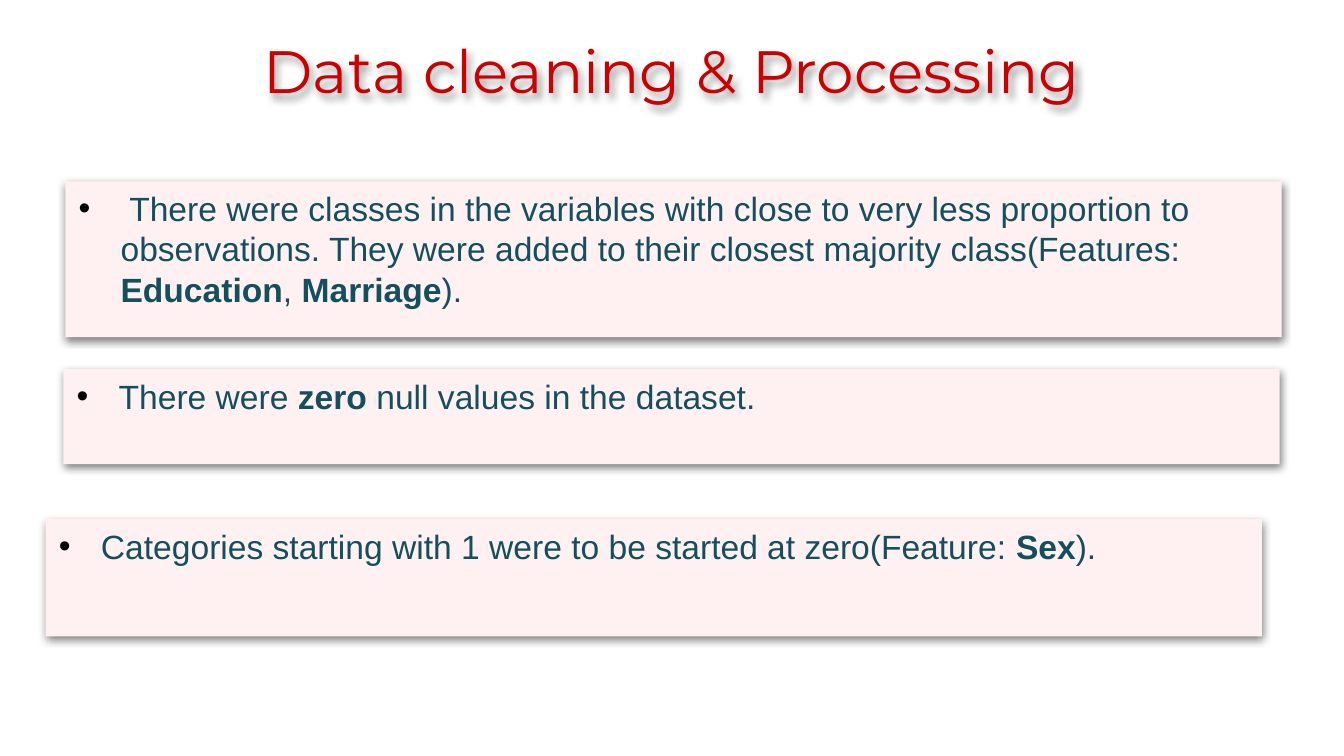
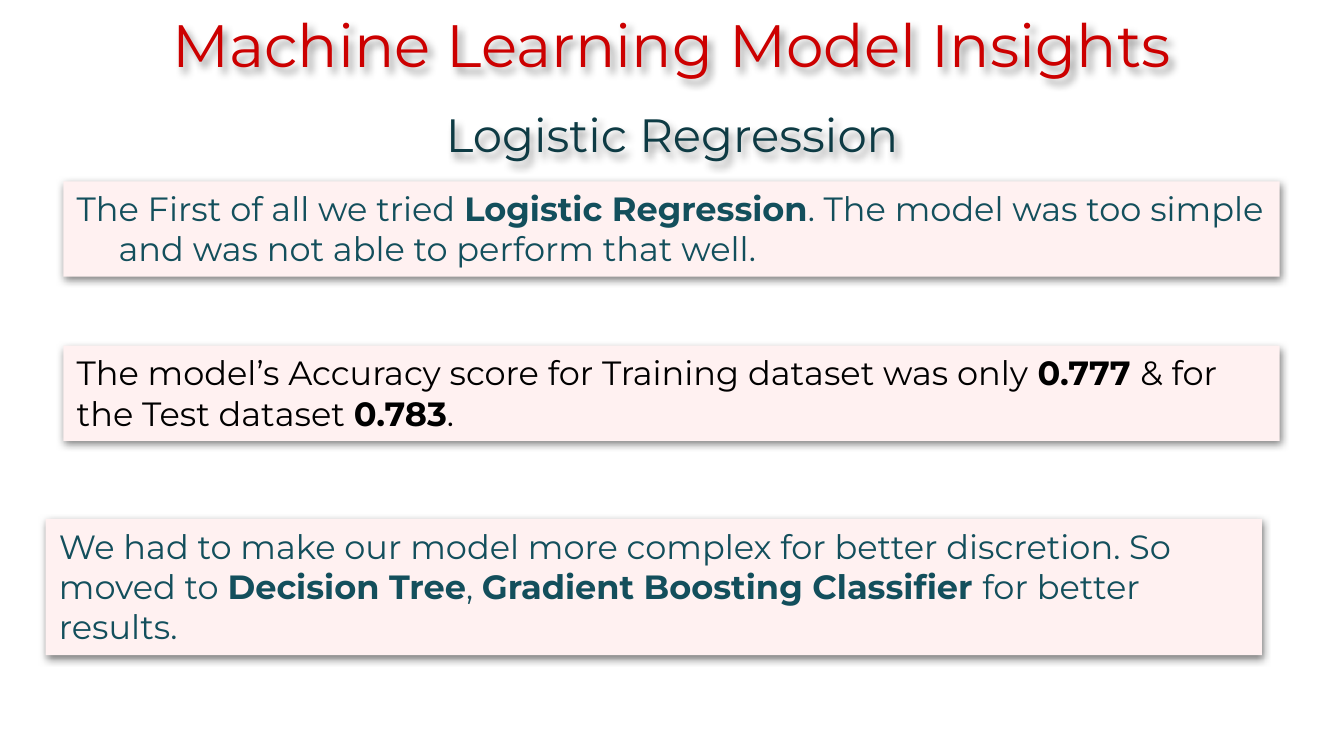
from lxml import etree
from pptx import Presentation
from pptx.dml.color import RGBColor
from pptx.enum.shapes import MSO_SHAPE
from pptx.enum.text import MSO_ANCHOR, PP_ALIGN
from pptx.oxml.ns import qn
from pptx.util import Pt

RECTANGLE = MSO_SHAPE.RECTANGLE
TOP = MSO_ANCHOR.TOP
LEFT = PP_ALIGN.LEFT
CENTER = PP_ALIGN.CENTER

RED = RGBColor(0xCC, 0x00, 0x00)
TEAL = RGBColor(0x13, 0x4F, 0x5C)
DARK_TEAL = RGBColor(0x0E, 0x3B, 0x44)
PINK = RGBColor(0xFF, 0xF1, 0xF1)
BLACK = RGBColor(0x00, 0x00, 0x00)

HEADING_FONT = "Montserrat"
BODY_FONT = "Arial"
OUTER_LEFT = 24.5
INNER_LEFT = 34
HEADING_SIZE = (671, 45.4)
CARD_WIDTH = 651.6
INDENT = 22.5

CARD_SHADOW = {"blur": 4.5, "distance": 1.5, "angle": 90, "opacity": 50}
HEADING_SHADOW = {"blur": 4, "distance": 3, "angle": 60, "opacity": 40}


def set_values(target, values):
    for name, value in values.items():
        setattr(target, name, value)


def add_shadow(shape, blur, distance, angle, opacity):
    properties = shape._element.spPr
    for old_effects in properties.findall(qn("a:effectLst")):
        properties.remove(old_effects)
    effects = etree.SubElement(properties, qn("a:effectLst"))
    shadow = etree.SubElement(
        effects, qn("a:outerShdw"), blurRad=str(Pt(blur)),
        dist=str(Pt(distance)), dir=str(angle * 60000),
        algn="bl", rotWithShape="0")
    color = etree.SubElement(shadow, qn("a:srgbClr"), val=str(BLACK))
    etree.SubElement(color, qn("a:alpha"), val=str(opacity * 1000))


def set_frame(shape, vertical_margin):
    set_values(shape.text_frame, {
        "word_wrap": True, "vertical_anchor": TOP,
        "margin_left": Pt(7.2), "margin_right": Pt(7.2),
        "margin_top": Pt(vertical_margin),
        "margin_bottom": Pt(vertical_margin)})


def add_run(paragraph, text, font_name, size, color, bold=False):
    run = paragraph.add_run()
    run.text = text
    set_values(run.font, {"name": font_name, "size": Pt(size), "bold": bold})
    run.font.color.rgb = color


def set_hanging_indent(paragraph, bullet):
    properties = paragraph._p.get_or_add_pPr()
    properties.set("marL", str(Pt(INDENT)))
    properties.set("indent", str(-Pt(INDENT)))
    if bullet:
        bullet_color = etree.SubElement(properties, qn("a:buClr"))
        etree.SubElement(bullet_color, qn("a:srgbClr"), val=str(BLACK))
        etree.SubElement(properties, qn("a:buFont"), typeface=BODY_FONT)
        etree.SubElement(properties, qn("a:buChar"), char="•")


def add_heading(slide, text, top, size=32, color=RED):
    width, height = HEADING_SIZE
    box = slide.shapes.add_textbox(
        Pt(OUTER_LEFT), Pt(top), Pt(width), Pt(height))
    set_frame(box, 7.2)
    add_shadow(box, **HEADING_SHADOW)
    paragraph = box.text_frame.paragraphs[0]
    paragraph.alignment = CENTER
    add_run(paragraph, text, HEADING_FONT, size, color)


def add_card(slide, left, top, height, parts, font_name=HEADING_FONT,
             color=TEAL, hanging=False, bullet=False):
    card = slide.shapes.add_shape(
        RECTANGLE, Pt(left), Pt(top), Pt(CARD_WIDTH), Pt(height))
    card.fill.solid()
    card.fill.fore_color.rgb = PINK
    card.line.fill.background()
    add_shadow(card, **CARD_SHADOW)
    set_frame(card, 3.6)
    paragraph = card.text_frame.paragraphs[0]
    paragraph.alignment = LEFT
    if hanging or bullet:
        set_hanging_indent(paragraph, bullet)
    for index, text in enumerate(parts):
        add_run(paragraph, text, font_name, 18, color, bold=index % 2 == 1)


def build_cleaning_slide(slide):
    add_heading(slide, "Data cleaning & Processing", 10.8)
    cards = [
        (35, 97.2, 83.5, [
            " There were classes in the variables with close to very less "
            "proportion to observations. They were added to their closest "
            "majority class(Features: ",
            "Education", ", ", "Marriage", ")."]),
        (INNER_LEFT, 197.7, 51, [
            "There were ", "zero", " null values in the dataset."]),
        (OUTER_LEFT, 278, 63, [
            "Categories starting with 1 were to be started at zero(Feature: ",
            "Sex", ")."]),
    ]
    for left, top, height, parts in cards:
        add_card(slide, left, top, height, parts, BODY_FONT, bullet=True)


def build_model_slide(slide):
    add_heading(slide, "Machine Learning Model Insights", -2.9)
    add_card(slide, INNER_LEFT, 97.2, 51, [
        "The First of all we tried ", "Logistic Regression",
        ". The model was too simple and was not able to perform that well."],
        hanging=True)
    add_card(slide, INNER_LEFT, 185.2, 51, [
        "The model’s Accuracy score for Training dataset was only ",
        "0.777 ", "& for the Test dataset ", "0.783", "."], color=BLACK)
    add_card(slide, OUTER_LEFT, 278, 73, [
        "We had to make our model more complex for better discretion. "
        "So moved to ", "Decision Tree", ", ",
        "Gradient Boosting Classifier ", "for better results."])
    add_heading(slide, "Logistic Regression", 49.7, 25, DARK_TEAL)


def main():
    presentation = Presentation()
    set_values(presentation, {"slide_width": Pt(720), "slide_height": Pt(405)})
    blank_layout = presentation.slide_layouts[6]
    for build_slide in (build_cleaning_slide, build_model_slide):
        build_slide(presentation.slides.add_slide(blank_layout))
    presentation.save("out.pptx")


if __name__ == "__main__":
    main()
